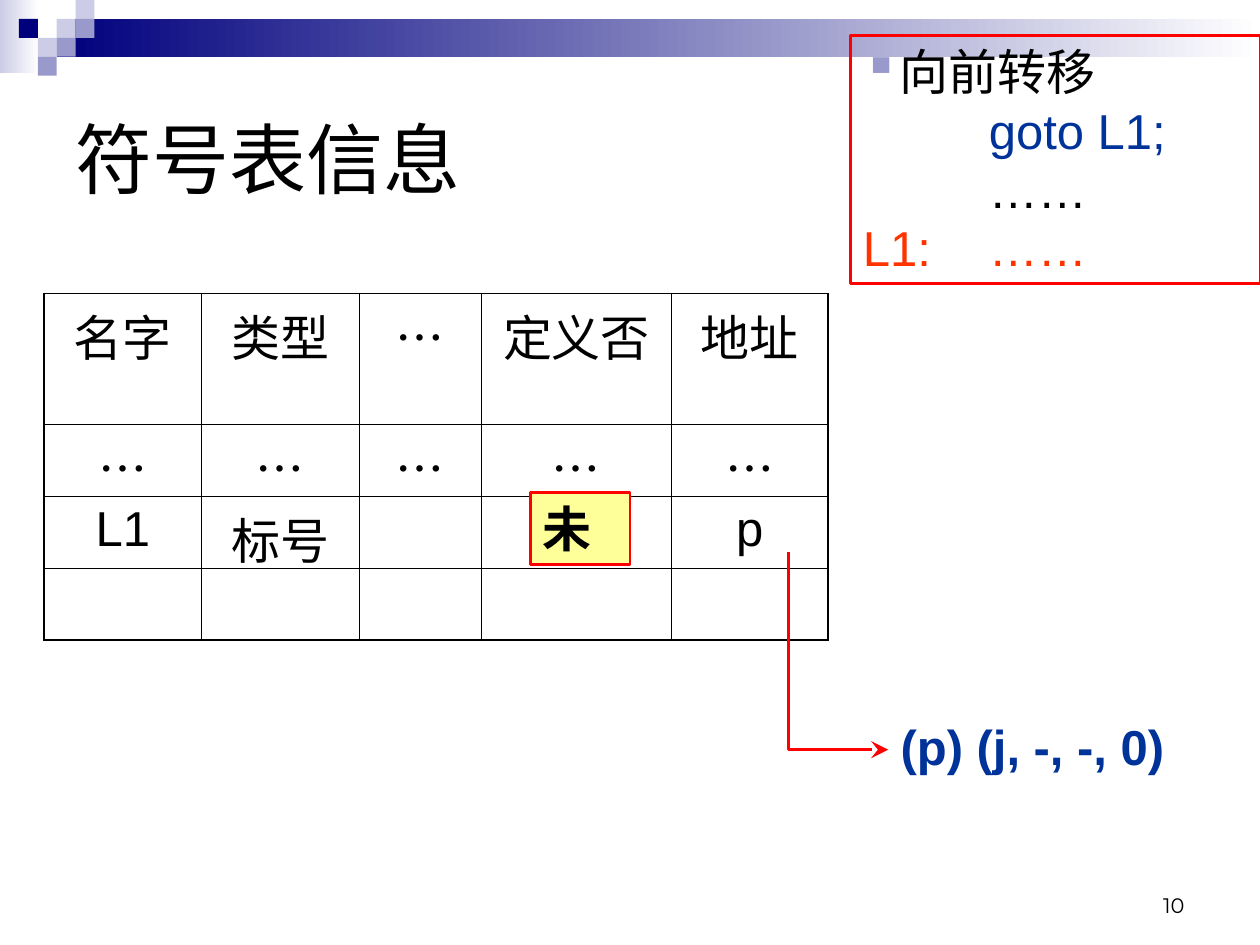
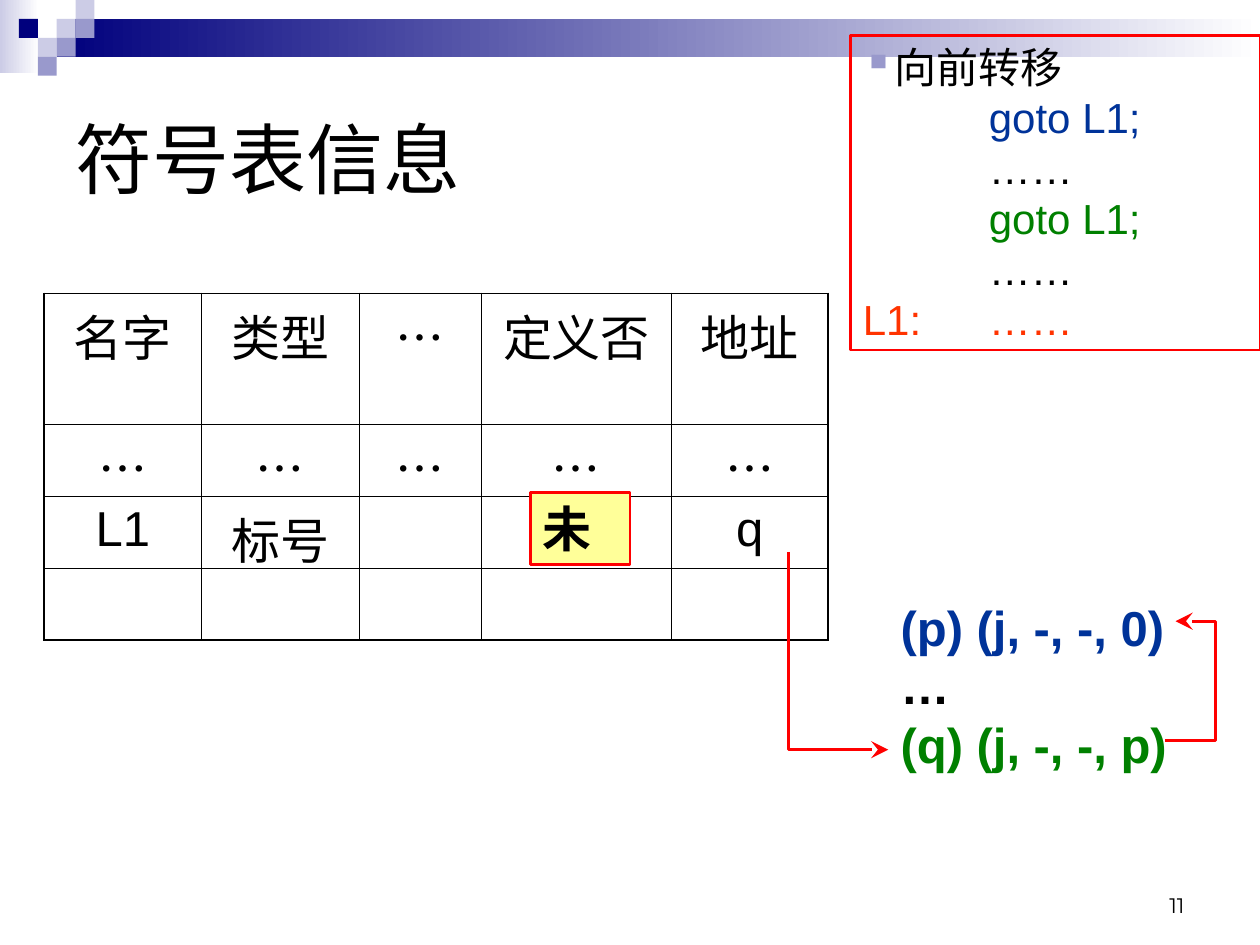
from lxml import etree
from pptx import Presentation
from pptx.dml.color import RGBColor
from pptx.enum.shapes import MSO_SHAPE
from pptx.enum.text import MSO_ANCHOR, PP_ALIGN
from pptx.oxml.ns import qn
from pptx.util import Inches, Pt

RECTANGLE = MSO_SHAPE.RECTANGLE
TOP, MIDDLE, BOTTOM = MSO_ANCHOR.TOP, MSO_ANCHOR.MIDDLE, MSO_ANCHOR.BOTTOM
LEFT, CENTER, RIGHT = PP_ALIGN.LEFT, PP_ALIGN.CENTER, PP_ALIGN.RIGHT

LATIN_FONT, CHINESE_FONT, NUMBER_FONT = "Arial", "Noto Sans CJK SC", "Montserrat"
BLACK, WHITE, RED, ORANGE = "000000", "FFFFFF", "FF0000", "FF3300"
BLUE, GREEN, YELLOW = "003399", "008000", "FFFF99"
NAVY, LAVENDER, PALE = "00007D", "9999CC", "CCCCE6"
rgb = RGBColor.from_string

COLUMNS, ROWS = 100, 75
CELL = Inches(10) // COLUMNS
SQUARE = 1.5

presentation = Presentation()
presentation.slide_width = COLUMNS * CELL
presentation.slide_height = ROWS * CELL
title_only = presentation.slide_layouts[5]


def grid(*lengths):
    return [round(length * CELL) for length in lengths]


def add_run(paragraph, text, size, color=BLACK, bold=False, font=LATIN_FONT):
    run = paragraph.add_run()
    run.text = text
    run.font.size = Pt(size)
    run.font.bold = bold
    run.font.color.rgb = rgb(color)
    run.font.name = font
    east_asian = etree.SubElement(run.font._element, qn("a:ea"))
    east_asian.set("typeface", font if "…" in text else CHINESE_FONT)


band = [
    (0, 0, 3.1, 5.8, [PALE, WHITE]),
    (3 * SQUARE, SQUARE, COLUMNS - 3 * SQUARE, 2 * SQUARE, [NAVY, WHITE]),
]
for column, row, color in [
    (3, 1, PALE), (4, 0, PALE), (4, 1, LAVENDER), (2, 2, PALE),
    (1, 1, NAVY), (3, 2, LAVENDER), (2, 3, LAVENDER),
]:
    band.append((column * SQUARE, row * SQUARE, SQUARE, SQUARE, [color]))

column_widths = [12.5, 12.5, 9.7, 15.1, 12.4]
row_heights = [10.4, 5.7, 5.7, 5.7]
address_arrow = [(62.6, 43.8), (62.6, 59.5), (70.5, 59.5)]
chain_arrow = [(92.5, 58.8), (96.5, 58.8), (96.5, 49.3), (93.3, 49.3)]

slides = [
    {
        "number": "10",
        "address": "p",
        "code_size": 28,
        "code_height": 19.7,
        "code": [("\tgoto L1;", BLUE), ("\t……", BLACK), ("L1:\t……", ORANGE)],
        "quadruples_top": 56.4,
        "quadruples_height": 5.7,
        "quadruples": [("(p) (j, -, -, 0)", BLUE)],
        "arrows": [address_arrow],
    },
    {
        "number": "11",
        "address": "q",
        "code_size": 24,
        "code_height": 25,
        "code": [
            ("\tgoto L1;", BLUE), ("\t……", BLACK),
            ("\tgoto L1;", GREEN), ("\t……", BLACK), ("L1:\t……", ORANGE),
        ],
        "quadruples_top": 46.9,
        "quadruples_height": 19.7,
        "quadruples": [
            ("(p) (j, -, -, 0)", BLUE), ("…", BLACK), ("(q) (j, -, -, p)", GREEN),
        ],
        "arrows": [address_arrow, chain_arrow],
    },
]

for content in slides:
    slide = presentation.slides.add_slide(title_only)
    shapes = slide.shapes

    for left, top, width, height, colors in band:
        shape = shapes.add_shape(RECTANGLE, *grid(left, top, width, height))
        shape.shadow.inherit = False
        shape.line.fill.background()
        if len(colors) == 1:
            shape.fill.solid()
            shape.fill.fore_color.rgb = rgb(colors[0])
        else:
            shape.fill.gradient()
            shape.fill.gradient_angle = 0
            for stop, color in zip(shape.fill.gradient_stops, colors):
                stop.color.rgb = rgb(color)

    title = shapes.title
    title.left, title.top, title.width, title.height = grid(5, 5, 90, 15)
    title.text_frame.vertical_anchor = MIDDLE
    title.text_frame.paragraphs[0].alignment = LEFT
    add_run(title.text_frame.paragraphs[0], "符号表信息", 44)

    number_frame = shapes.add_textbox(*grid(71.7, 68.3, 23.3, 5)).text_frame
    number_frame.word_wrap = True
    number_frame.vertical_anchor = BOTTOM
    number_frame.paragraphs[0].alignment = RIGHT
    add_run(number_frame.paragraphs[0], content["number"], 12, font=NUMBER_FONT)

    symbols = [
        ["名字", "类型", "…", "定义否", "地址"],
        ["…"] * 5,
        ["L1", "标号", "", "", content["address"]],
        [""] * 5,
    ]
    table = shapes.add_table(
        len(row_heights), len(column_widths),
        *grid(3.5, 23.3, sum(column_widths), sum(row_heights))
    ).table
    table.first_row = False
    table.horz_banding = False
    for column, width in zip(table.columns, grid(*column_widths)):
        column.width = width
    for row, height in zip(table.rows, grid(*row_heights)):
        row.height = height
    for row_index, texts in enumerate(symbols):
        for column_index, text in enumerate(texts):
            cell = table.cell(row_index, column_index)
            properties = cell._tc.get_or_add_tcPr()
            for side, outer in [
                ("L", column_index == 0),
                ("R", column_index == len(texts) - 1),
                ("T", row_index == 0),
                ("B", row_index == len(symbols) - 1),
            ]:
                border = etree.SubElement(properties, qn(f"a:ln{side}"))
                border.set("w", str(Pt(1.08 if outer else 0.45)))
                fill = etree.SubElement(border, qn("a:solidFill"))
                etree.SubElement(fill, qn("a:srgbClr")).set("val", BLACK)
            cell.fill.background()
            if text:
                paragraph = cell.text_frame.paragraphs[0]
                paragraph.alignment = CENTER
                font = CHINESE_FONT if text == "…" else LATIN_FONT
                add_run(paragraph, text, 28, font=font)

    quadruples_frame = shapes.add_textbox(
        *grid(70.5, content["quadruples_top"], 29.5, content["quadruples_height"])
    ).text_frame
    quadruples_frame.word_wrap = True
    for index, (text, color) in enumerate(content["quadruples"]):
        if index:
            quadruples_frame.add_paragraph()
        add_run(quadruples_frame.paragraphs[index], text, 28, color, bold=True)

    for points in content["arrows"]:
        start, *corners = [grid(*point) for point in points]
        builder = shapes.build_freeform(*start)
        builder.add_line_segments(corners, close=False)
        arrow = builder.convert_to_shape()
        arrow.shadow.inherit = False
        arrow.fill.background()
        arrow.line.color.rgb = rgb(RED)
        arrow.line.width = Pt(1.75)
        head = etree.SubElement(arrow.line._get_or_add_ln(), qn("a:tailEnd"))
        head.set("type", "stealth")
        head.set("w", "lg")
        head.set("len", "lg")

    undefined_mark = shapes.add_shape(RECTANGLE, *grid(42.1, 39.1, 7.9, 5.7))
    code_box = shapes.add_shape(
        RECTANGLE, *grid(67.5, 2.8, 32.5, content["code_height"])
    )
    for box in (undefined_mark, code_box):
        box.shadow.inherit = False
        box.line.color.rgb = rgb(RED)
        box.line.width = Pt(1.5)
        box.text_frame.word_wrap = True
        box.text_frame.vertical_anchor = TOP
        box.text_frame.paragraphs[0].alignment = LEFT
    undefined_mark.fill.solid()
    undefined_mark.fill.fore_color.rgb = rgb(YELLOW)
    add_run(undefined_mark.text_frame.paragraphs[0], "未", 28, bold=True)

    code_box.fill.background()
    heading = code_box.text_frame.paragraphs[0]
    properties = heading._p.get_or_add_pPr()
    indent = Inches(0.24)
    properties.set("marL", str(indent))
    properties.set("indent", str(-indent))
    bullet_color = etree.SubElement(properties, qn("a:buClr"))
    etree.SubElement(bullet_color, qn("a:srgbClr")).set("val", LAVENDER)
    etree.SubElement(properties, qn("a:buChar")).set("char", "▪")
    add_run(heading, "向前转移", content["code_size"])
    for text, color in content["code"]:
        paragraph = code_box.text_frame.add_paragraph()
        paragraph.alignment = LEFT
        tabs = etree.SubElement(paragraph._p.get_or_add_pPr(), qn("a:tabLst"))
        tab = etree.SubElement(tabs, qn("a:tab"))
        tab.set("pos", str(Inches(1)))
        tab.set("algn", "l")
        add_run(paragraph, text, content["code_size"], color)

presentation.save("out.pptx")
